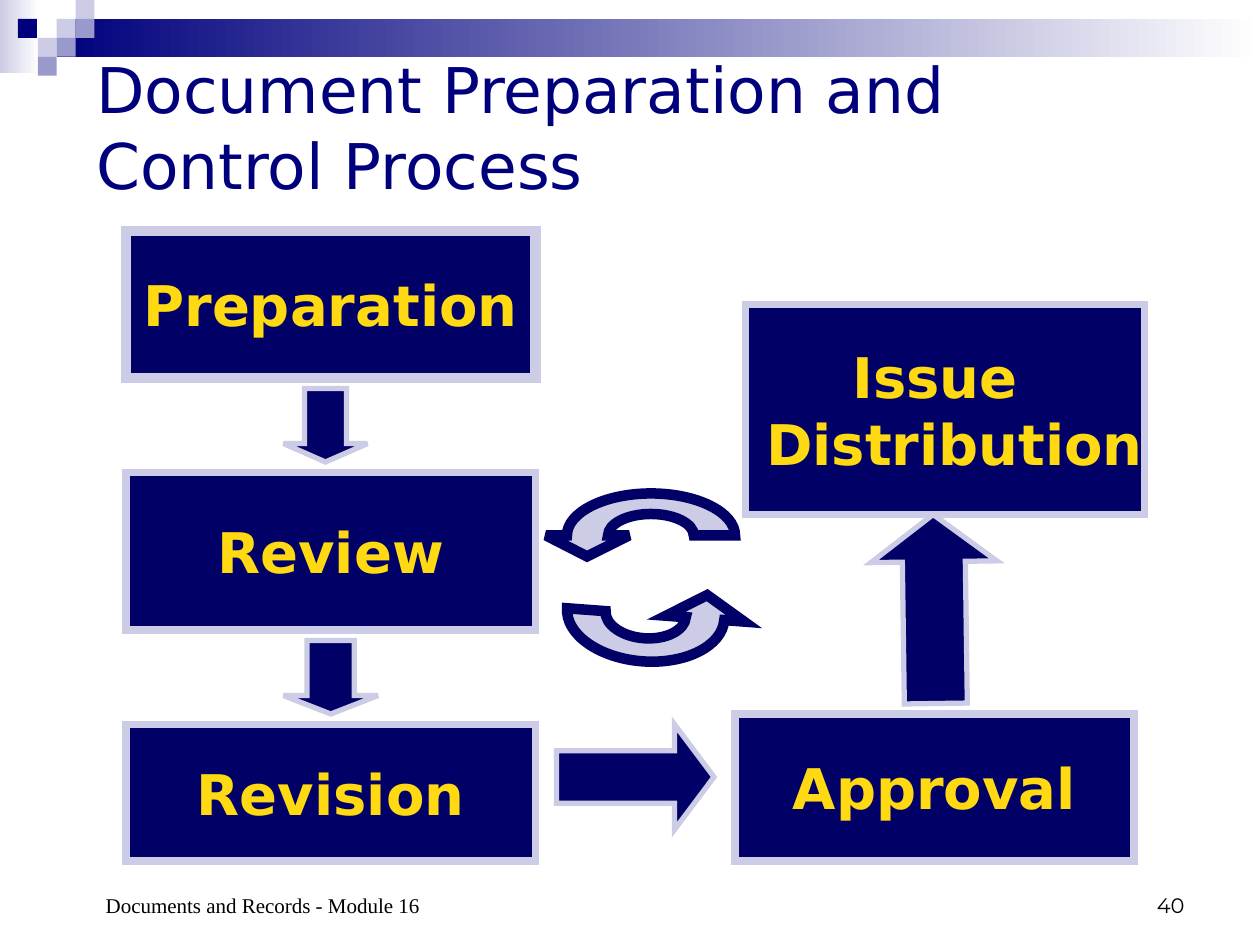
import math

import pptx
import pptx.dml.color
import pptx.enum.shapes
import pptx.enum.text
import pptx.oxml
import pptx.oxml.ns
import pptx.util

Inches = pptx.util.Inches
Pt = pptx.util.Pt
RGBColor = pptx.dml.color.RGBColor
SHAPE = pptx.enum.shapes.MSO_SHAPE
ALIGN = pptx.enum.text.PP_ALIGN
ANCHOR = pptx.enum.text.MSO_ANCHOR

COLORS = {
    "navy": "000066",
    "title": "00007D",
    "lilac": "CCCCE6",
    "violet": "9999CC",
    "yellow": "FFD911",
    "white": "FFFFFF",
    "black": "000000",
}
GRID = Inches(1 / 12)  # everything below the header sits on twelfths of an inch


def paint(shape, fill, line=None, width=0):
    """Give a shape a flat fill and a sharp-cornered outline, or none."""
    shape.shadow.inherit = False
    shape.fill.solid()
    shape.fill.fore_color.rgb = RGBColor.from_string(COLORS[fill])
    if line is None:
        shape.line.fill.background()
        return
    shape.line.color.rgb = RGBColor.from_string(COLORS[line])
    shape.line.width = Pt(width)
    miter = pptx.oxml.parse_xml(
        f'<a:miter {pptx.oxml.ns.nsdecls("a")} lim="800000"/>')
    shape.line._get_or_add_ln().append(miter)


def write(shape, lines, size, font, color, align, anchor, bold=False, wrap=True):
    """Fill the first paragraph with lines, and return that paragraph."""
    frame = shape.text_frame
    frame.word_wrap = wrap
    frame.vertical_anchor = anchor
    paragraph = frame.paragraphs[0]
    paragraph.alignment = align
    for index, line in enumerate(lines):
        if index:
            paragraph.add_line_break()
        run = paragraph.add_run()
        run.text = line
        run.font.size = Pt(size)
        run.font.name = font
        run.font.bold = bold
        run.font.color.rgb = RGBColor.from_string(COLORS[color])
    return paragraph


presentation = pptx.Presentation()
presentation.slide_width = Inches(10)
presentation.slide_height = Inches(7.5)
slide = presentation.slides.add_slide(presentation.slide_layouts[6])
shapes = slide.shapes

# Header: two fading bars and a mosaic of small squares
fading_bars = [
    (0, 0, 0.31, 0.58, "lilac"),
    (0.45, 0.15, 9.55, 0.3, "title"),
]
for left, top, width, height, color in fading_bars:
    bar = shapes.add_shape(SHAPE.RECTANGLE, Inches(left), Inches(top),
                           Inches(width), Inches(height))
    paint(bar, color)
    bar.fill.gradient()
    bar.fill.gradient_angle = 0
    for stop, name in zip(bar.fill.gradient_stops, (color, "white")):
        stop.color.rgb = RGBColor.from_string(COLORS[name])

SQUARE = 0.15
squares = [  # column, row, colour
    (3, 1, "lilac"), (4, 0, "lilac"), (4, 1, "violet"), (2, 2, "lilac"),
    (0.95, 1, "title"), (3, 2, "violet"), (2, 3, "violet"),
]
for column, row, color in squares:
    square = shapes.add_shape(SHAPE.RECTANGLE, Inches(column * SQUARE),
                              Inches(row * SQUARE), Inches(SQUARE), Inches(SQUARE))
    paint(square, color)

title = shapes.add_textbox(8 * GRID, 5 * GRID, 102 * GRID, 14 * GRID)
write(title, ["Document Preparation and Control Process"], 36, "DejaVu Sans",
      "title", ALIGN.LEFT, ANCHOR.MIDDLE)

# Process steps, in grid units
steps = [
    (["Preparation"], 12, 22, 39, 14, 6),
    (["Review"], 12, 45, 39, 15, 4.5),
    (["Issue ", " Distribution"], 71, 29, 38, 20, 4.5),
    (["Revision"], 12, 69, 39, 13, 4.5),
    (["Approval"], 70, 68, 38, 14, 4.5),
]
for lines, left, top, width, height, border in steps:
    step = shapes.add_shape(SHAPE.FLOWCHART_PROCESS, left * GRID, top * GRID,
                            width * GRID, height * GRID)
    paint(step, "navy", "lilac", border)
    write(step, lines, 32, "DejaVu Sans", "yellow", ALIGN.CENTER, ANCHOR.MIDDLE,
          bold=True, wrap=False)

# Block arrows between the steps, in grid units
block_arrows = [
    (SHAPE.DOWN_ARROW, 27, 37, 8, 7, 0.25, 0),
    (SHAPE.DOWN_ARROW, 27, 61, 9, 7, 0.25, 0),
    (SHAPE.UP_ARROW, 83, 49, 12, 18, 0.375, 359.2),
    (SHAPE.RIGHT_ARROW, 53, 69, 15, 10, 0.375, 0),
]
for kind, left, top, width, height, head_length, rotation in block_arrows:
    arrow = shapes.add_shape(kind, left * GRID, top * GRID,
                             width * GRID, height * GRID)
    arrow.adjustments[0] = 0.5
    arrow.adjustments[1] = head_length
    arrow.rotation = rotation
    paint(arrow, "navy", "lilac", 3)

# Review cycle: one half-ring arrow in unit size, scaled and turned twice
BEND = 0.55  # control distance of a quarter circle
INNER = 0.51
outer_arc = [(1, 0), (1, -BEND), (BEND, -1), (0, -1), (-BEND, -1), (-1, -BEND), (-1, 0)]
inner_arc = [(x * INNER, y * INNER) for x, y in reversed(outer_arc)]
head = [(-1.25, 0), (-0.76, 0.5), (-0.26, 0)]
curve_starts = (0, 3, 7, 10)  # segments that open a quarter arc
cycle_arrows = [  # centre x and y, radius x and y in grid units, turn
    (62, 51, 8, 4, 0),
    (61.5, 58.5, 7.5, 4.5, 184.3),
]
for center_x, center_y, radius_x, radius_y, turn in cycle_arrows:
    cosine, sine = math.cos(math.radians(turn)), math.sin(math.radians(turn))
    points = []
    for x, y in inner_arc + outer_arc + head:
        x, y = x * radius_x, y * radius_y
        points.append(((center_x + x * cosine - y * sine) * GRID,
                       (center_y + x * sine + y * cosine) * GRID))
    builder = shapes.build_freeform(*points[0])
    builder.add_line_segments(points[1:], close=True)
    cycle_arrow = builder.convert_to_shape()
    paint(cycle_arrow, "lilac", "navy", 6)
    segments = cycle_arrow._element.findall(".//" + pptx.oxml.ns.qn("a:lnTo"))
    for start in curve_starts:
        first, *others = segments[start:start + 3]
        first.tag = pptx.oxml.ns.qn("a:cubicBezTo")
        for segment in others:
            first.append(segment[0])
            segment.getparent().remove(segment)

# Footer
footer = shapes.add_textbox(6 * GRID, 82 * GRID, 56 * GRID, 6 * GRID)
footer_paragraph = write(footer, ["Documents and Records - Module 16"], 12,
                         "Times New Roman", "black", ALIGN.LEFT, ANCHOR.BOTTOM)
footer_paragraph._p.get_or_add_pPr().set("marL", str(Inches(0.24)))

page_number = shapes.add_textbox(86 * GRID, 82 * GRID, 28 * GRID, 6 * GRID)
write(page_number, ["40"], 12, "Montserrat", "black", ALIGN.RIGHT, ANCHOR.BOTTOM)

presentation.save("out.pptx")
